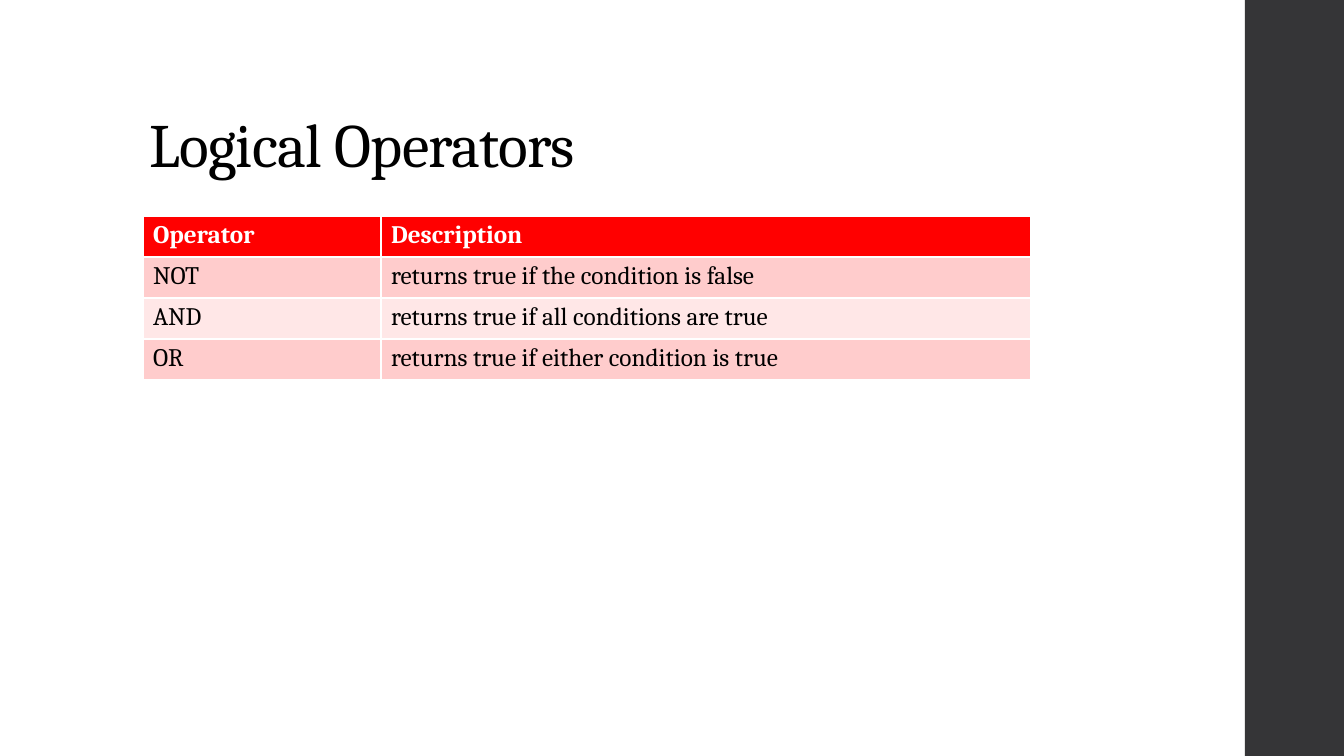
from pptx import Presentation
from pptx import util as u
from pptx.dml.color import RGBColor
from pptx.enum import shapes, text

WHITE = RGBColor(0xFF, 0xFF, 0xFF)
BLACK = RGBColor(0, 0, 0)
RED = RGBColor(0xFF, 0, 0)
ROSE = RGBColor(0xFF, 0xCC, 0xCC)
BLUSH = RGBColor(0xFF, 0xE7, 0xE7)
SLATE = RGBColor(0x35, 0x35, 0x37)
FONT = "Cambria"
ROWS = [
    ("Operator", "Description"),
    ("NOT", "returns true if the condition is false"),
    ("AND", "returns true if all conditions are true"),
    ("OR", "returns true if either condition is true"),
]
COLS = [238, 650]
ROW_H = 41


def px(n):
    return u.Emu(round(n * 914400 / 100.8))


def write(frame, words, size=18, color=BLACK, bold=False, track=0, lead=None):
    """Fill a text frame; track is letter spacing in hundredths of a point."""
    para = frame.paragraphs[0]
    para.alignment = text.PP_ALIGN.LEFT
    para.line_spacing = lead
    run = para.add_run()
    run.text = words
    font = run.font
    font.name, font.size, font.bold = FONT, u.Pt(size), bold
    font.color.rgb = color
    if track:
        run._r.get_or_add_rPr().set("spc", str(track))


def add_bar(slide, x, y, w, h, color):
    bar = slide.shapes.add_shape(
        shapes.MSO_SHAPE.RECTANGLE, px(x), px(y), px(w), px(h))
    bar.shadow.inherit = False
    bar.fill.solid()
    bar.fill.fore_color.rgb = color
    bar.line.fill.background()


def set_title(slide, words, x, y, w, h):
    title = slide.shapes.title
    title.left, title.top, title.width, title.height = map(px, (x, y, w, h))
    frame = title.text_frame
    frame.word_wrap = True
    frame.auto_size = text.MSO_AUTO_SIZE.NONE
    frame.vertical_anchor = text.MSO_ANCHOR.BOTTOM
    write(frame, words, size=44, track=-50, lead=0.9)


def add_grid(slide, x, y):
    """Add the operator table; its default style draws the white borders."""
    grid = slide.shapes.add_table(
        len(ROWS), len(COLS), px(x), px(y),
        px(sum(COLS)), px(ROW_H * len(ROWS))).table
    for col, width in zip(grid.columns, COLS):
        col.width = px(width)
    for r, row in enumerate(ROWS):
        head = r == 0
        fill = RED if head else ROSE if r % 2 else BLUSH
        for c, words in enumerate(row):
            cell = grid.cell(r, c)
            cell.fill.solid()
            cell.fill.fore_color.rgb = fill
            write(cell.text_frame, words, bold=head,
                  color=WHITE if head else BLACK)


def main():
    deck = Presentation()
    deck.slide_width, deck.slide_height = px(1344), px(756)
    slide = deck.slides.add_slide(deck.slide_layouts.get_by_name("Title Only"))
    add_bar(slide, 1245, 0, 99, 756, SLATE)
    set_title(slide, "Logical Operators", 139, 40, 1068, 146)
    add_grid(slide, 143, 216)
    deck.save("out.pptx")


if __name__ == "__main__":
    main()
